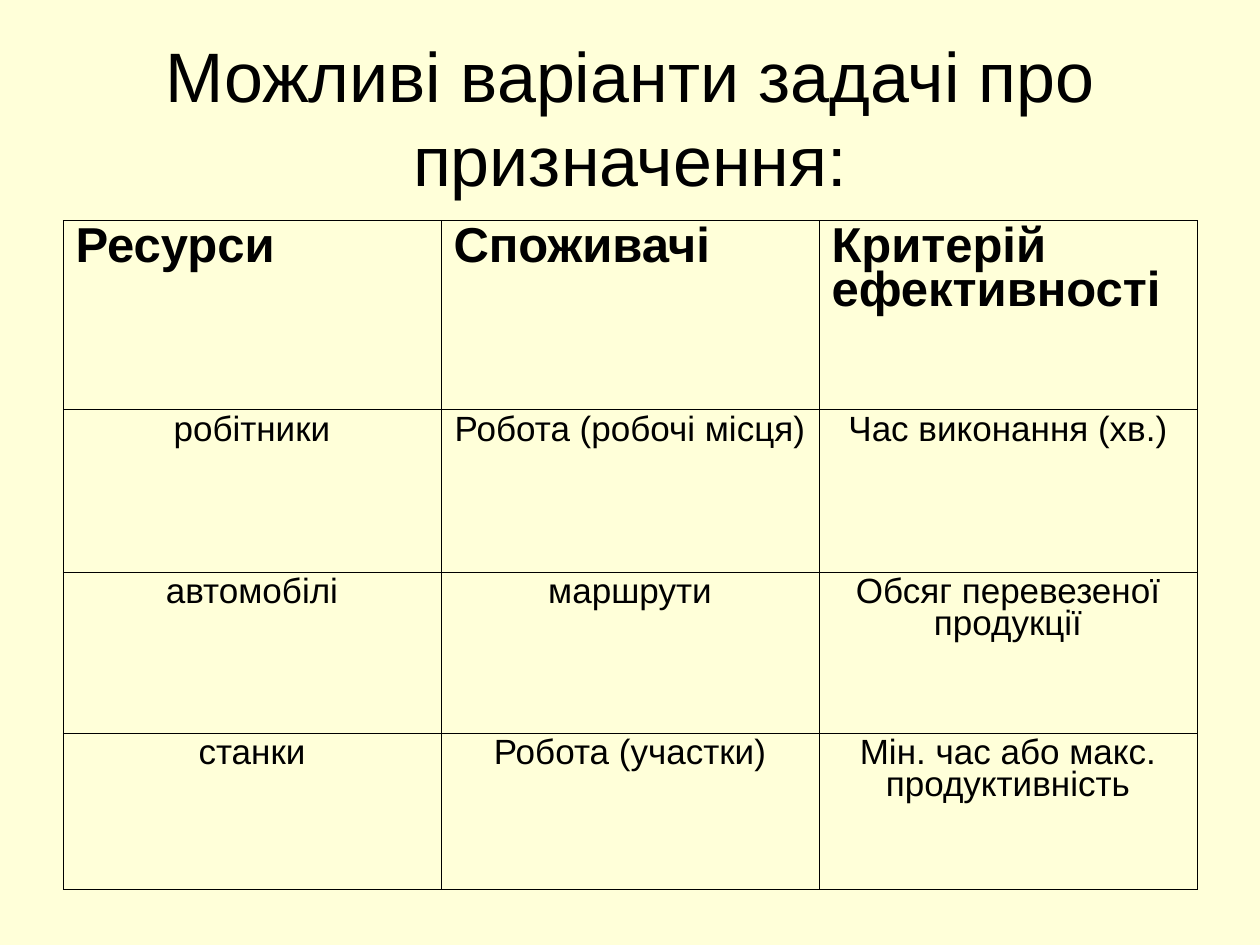
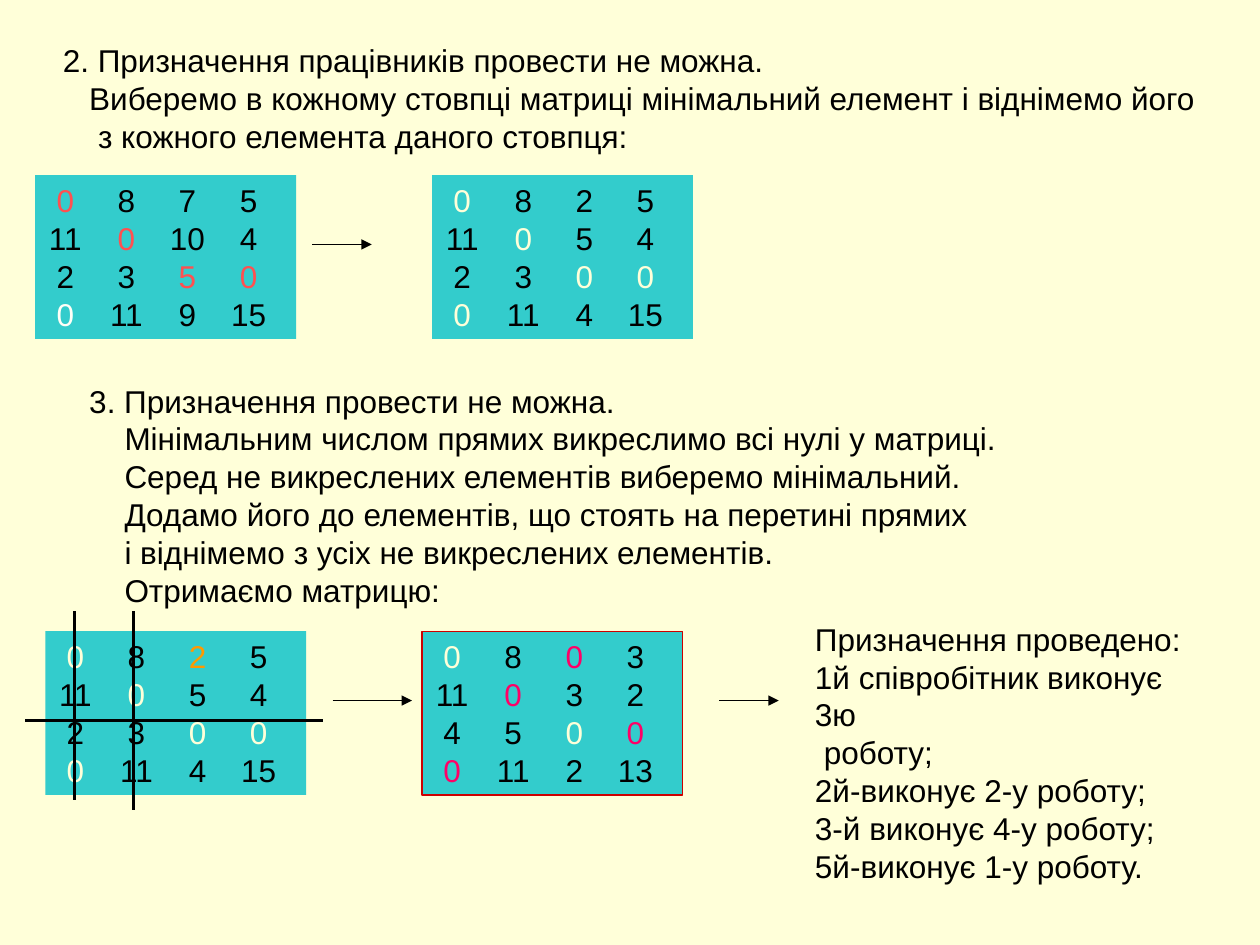
from dataclasses import dataclass

from lxml.etree import SubElement
from pptx import Presentation
from pptx.dml.color import RGBColor
from pptx.enum.shapes import MSO_CONNECTOR as Connector, MSO_SHAPE as Preset
from pptx.enum.text import MSO_ANCHOR as Anchor, MSO_AUTO_SIZE as AutoSize, PP_ALIGN as Align
from pptx.oxml import parse_xml
from pptx.oxml.ns import nsdecls, qn
from pptx.util import Inches, Pt


@dataclass(frozen=True)
class Theme:
    font: str = "Arial"
    paper: str = "FFFFD9"
    ink: str = "000000"
    panel: str = "33CCCC"
    frame: str = "CC0000"
    red: str = "FF5050"
    white: str = "FFFFF7"
    orange: str = "FF9900"
    pink: str = "FF0066"
    title: int = 40
    header: int = 28
    cell: int = 20
    body: int = 18
    thin: float = 0.75
    thick: float = 1.5
    inner_border: float = 0.06
    outer_border: float = 0.11


THEME = Theme()
# A letter after a matrix element selects its colour.
MARKS = {"r": THEME.red, "w": THEME.white, "p": THEME.paper, "o": THEME.orange, "k": THEME.pink}
MATRIX_SIZE = (2.07, 1.3)
FIRST_COLUMN, COLUMN_PITCH = 0.14, 0.485

VARIANTS = [
    ("Ресурси", "Споживачі", "Критерій ефективності"),
    ("робітники", "Робота (робочі місця)", "Час виконання (хв.)"),
    ("автомобілі", "маршрути", "Обсяг перевезеної продукції"),
    ("станки", "Робота (участки)", "Мін. час або макс. продуктивність"),
]
ROW_HEIGHTS = (1.5, 1.29, 1.28, 1.24)

# Each line is an indent in inches and its text.
COLUMN_STEP = [
    (0, "2. Призначення працівників провести не можна."),
    (0.21, "Виберемо в кожному стовпці матриці мінімальний елемент і віднімемо його"),
    (0.28, "з кожного елемента даного стовпця:"),
]
CROSSING_STEP = [(0, "3. Призначення провести не можна.")] + [(0.28, line) for line in (
    "Мінімальним числом прямих викреслимо всі нулі у матриці.",
    "Серед не викреслених елементів виберемо мінімальний.",
    "Додамо його до елементів, що стоять на перетині прямих",
    "і віднімемо з усіх не викреслених елементів.",
    "Отримаємо матрицю:",
)]
ASSIGNMENT = [
    (0, "Призначення проведено:"),
    (0, "1й співробітник виконує 3ю"),
    (0.07, "роботу;"),
    (0, "2й-виконує 2-у роботу;"),
    (0, "3-й виконує 4-у роботу;"),
    (0, "5й-виконує 1-у роботу."),
]

ROW_MINIMA = ("0r 8 7 5", "11 0r 10 4", "2 3 5r 0r", "0w 11 9 15")
COLUMNS_REDUCED = ("0p 8 2 5", "11 0p 5 4", "2 3 0p 0p", "0p 11 4 15")
CROSSED_OUT = ("0p 8 2o 5", "11 0p 5 4", "2 3 0p 0p", "0p 11 4 15")
SOLUTION = ("0p 8 0k 3", "11 0k 3 2", "4 5 0p 0k", "0k 11 2 13")


def apply(target, formats):
    for attribute, value in formats.items():
        setattr(target, attribute, value)


def rgb(code):
    return RGBColor.from_string(code)


def add_run(paragraph, text, size, colour=THEME.ink, bold=False):
    run = paragraph.add_run()
    run.text = text
    apply(run.font, {"name": THEME.font, "size": Pt(size), "bold": bold})
    run.font.color.rgb = rgb(colour)


def paragraphs(frame, count):
    """Yield the frame's first paragraph, then new ones, up to count."""
    yield frame.paragraphs[0]
    for _ in range(count - 1):
        yield frame.add_paragraph()


def new_slide(deck):
    slide = deck.slides.add_slide(deck.slide_layouts[6])
    slide.background.fill.solid()
    slide.background.fill.fore_color.rgb = rgb(THEME.paper)
    return slide


def add_title(slide, box, text):
    frame = slide.shapes.add_textbox(*map(Inches, box)).text_frame
    apply(frame, {"word_wrap": True, "vertical_anchor": Anchor.MIDDLE})
    paragraph = frame.paragraphs[0]
    paragraph.alignment = Align.CENTER
    add_run(paragraph, text, THEME.title)


def add_lines(slide, box, lines, wrap=False):
    frame = slide.shapes.add_textbox(*map(Inches, box)).text_frame
    apply(frame, {"word_wrap": wrap, "auto_size": AutoSize.SHAPE_TO_FIT_TEXT})
    for paragraph, (indent, text) in zip(paragraphs(frame, len(lines)), lines):
        properties = paragraph._p.get_or_add_pPr()
        apply_xml = {"marL": Inches(indent), "indent": 0}
        for key, value in apply_xml.items():
            properties.set(key, str(value))
        add_run(paragraph, text, THEME.body)


def set_borders(cell, outer_sides):
    for index, side in enumerate("LRTB"):
        width = THEME.outer_border if side in outer_sides else THEME.inner_border
        cell._tc.get_or_add_tcPr().insert(index, parse_xml(
            f'<a:ln{side} {nsdecls("a")} w="{Pt(width)}"><a:solidFill>'
            f'<a:srgbClr val="{THEME.ink}"/></a:solidFill></a:ln{side}>'))


def add_variants_table(slide, left, top, width):
    row_count, column_count = len(VARIANTS), len(VARIANTS[0])
    table = slide.shapes.add_table(
        row_count, column_count,
        *map(Inches, (left, top, width, sum(ROW_HEIGHTS)))).table
    apply(table, {"first_row": False, "horz_banding": False})
    for column in table.columns:
        column.width = Inches(width / column_count)
    for r, (height, texts) in enumerate(zip(ROW_HEIGHTS, VARIANTS)):
        table.rows[r].height = Inches(height)
        is_header = r == 0
        for c, text in enumerate(texts):
            cell = table.cell(r, c)
            cell.fill.background()
            edges = {"L": c == 0, "R": c == column_count - 1,
                     "T": is_header, "B": r == row_count - 1}
            set_borders(cell, [side for side, outer in edges.items() if outer])
            paragraph = cell.text_frame.paragraphs[0]
            apply(paragraph, {"alignment": Align.LEFT if is_header else Align.CENTER,
                              "line_spacing": 0.81,
                              "space_before": Pt(7 if is_header else 5)})
            add_run(paragraph, text, THEME.header if is_header else THEME.cell, bold=is_header)


def add_matrix(slide, left, top, rows, framed=False):
    """Draw a panel whose elements are centred on evenly spaced tab stops."""
    panel = slide.shapes.add_shape(Preset.RECTANGLE, *map(Inches, (left, top, *MATRIX_SIZE)))
    panel.shadow.inherit = False
    panel.fill.solid()
    panel.fill.fore_color.rgb = rgb(THEME.panel)
    if framed:
        panel.line.color.rgb = rgb(THEME.frame)
        panel.line.width = Pt(THEME.thin)
    else:
        panel.line.fill.background()
    frame = panel.text_frame
    apply(frame, {"word_wrap": True, "vertical_anchor": Anchor.TOP})
    for paragraph, row in zip(paragraphs(frame, len(rows)), rows):
        paragraph.alignment = Align.LEFT
        elements = row.split()
        stops = SubElement(paragraph._p.get_or_add_pPr(), qn("a:tabLst"))
        for column, element in enumerate(elements):
            position = Inches(FIRST_COLUMN + column * COLUMN_PITCH)
            SubElement(stops, qn("a:tab"), pos=str(position), algn="ctr")
            colour = MARKS.get(element[-1], THEME.ink)
            add_run(paragraph, "\t" + element.rstrip("".join(MARKS)), THEME.body, colour)


def add_line(slide, start, end, width=THEME.thick, arrow=False):
    line = slide.shapes.add_connector(Connector.STRAIGHT, *map(Inches, (*start, *end)))
    line.line.color.rgb = rgb(THEME.ink)
    line.line.width = Pt(width)
    if arrow:
        SubElement(line.line._get_or_add_ln(), qn("a:tailEnd"), type="triangle")
    SubElement(line._element.spPr, qn("a:effectLst"))


def add_arrow(slide, left, top, length):
    add_line(slide, (left, top), (left + length, top), THEME.thin, arrow=True)


def add_crossed_matrix(slide, left, top):
    add_matrix(slide, left, top, CROSSED_OUT)
    for x, bottom in ((0.23, 1.34), (0.7, 1.42)):
        add_line(slide, (left + x, top - 0.16), (left + x, top + bottom))
    add_line(slide, (left - 0.16, top + 0.71), (left + 2.2, top + 0.71))


def build_variants_slide(deck):
    slide = new_slide(deck)
    add_title(slide, (0.5, 0.3, 9, 1.25), "Можливі варіанти задачі про призначення:")
    add_variants_table(slide, 0.5, 1.75, 9)


def build_solution_slide(deck):
    slide = new_slide(deck)
    add_lines(slide, (0.4, 0.28, 9.21, 1), COLUMN_STEP)
    add_matrix(slide, 0.28, 1.39, ROW_MINIMA)
    add_arrow(slide, 2.48, 1.94, 0.47)
    add_matrix(slide, 3.43, 1.39, COLUMNS_REDUCED)

    add_lines(slide, (0.61, 2.98, 7.41, 1.9), CROSSING_STEP)
    add_crossed_matrix(slide, 0.36, 5.01)
    add_arrow(slide, 2.64, 5.56, 0.63)
    add_matrix(slide, 3.35, 5.01, SOLUTION, framed=True)
    add_arrow(slide, 5.71, 5.56, 0.47)
    add_lines(slide, (6.37, 4.87, 3.3, 2.2), ASSIGNMENT, wrap=True)


def main():
    deck = Presentation()
    apply(deck, {"slide_width": Inches(10), "slide_height": Inches(7.5)})
    build_variants_slide(deck)
    build_solution_slide(deck)
    deck.save("out.pptx")


if __name__ == "__main__":
    main()
